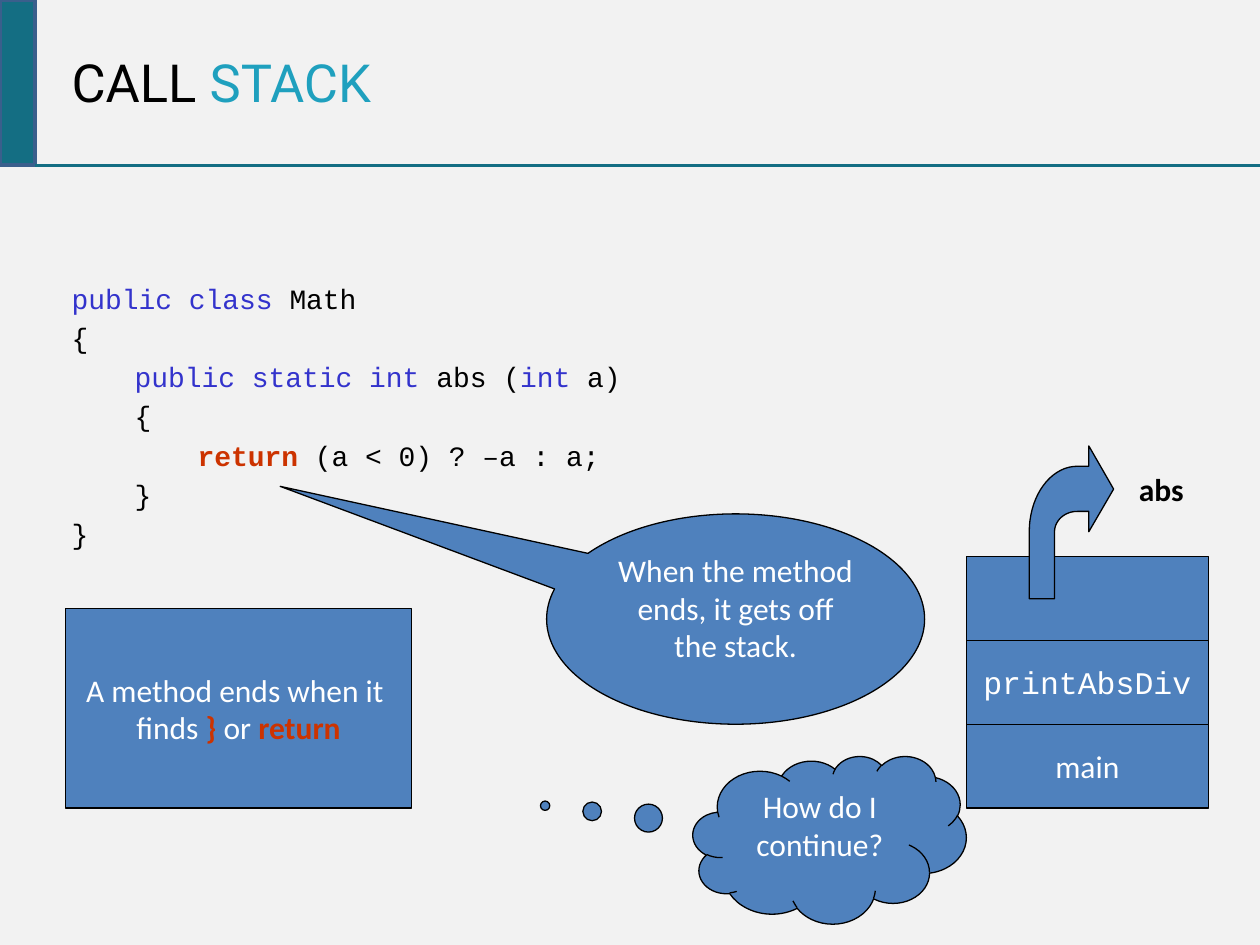
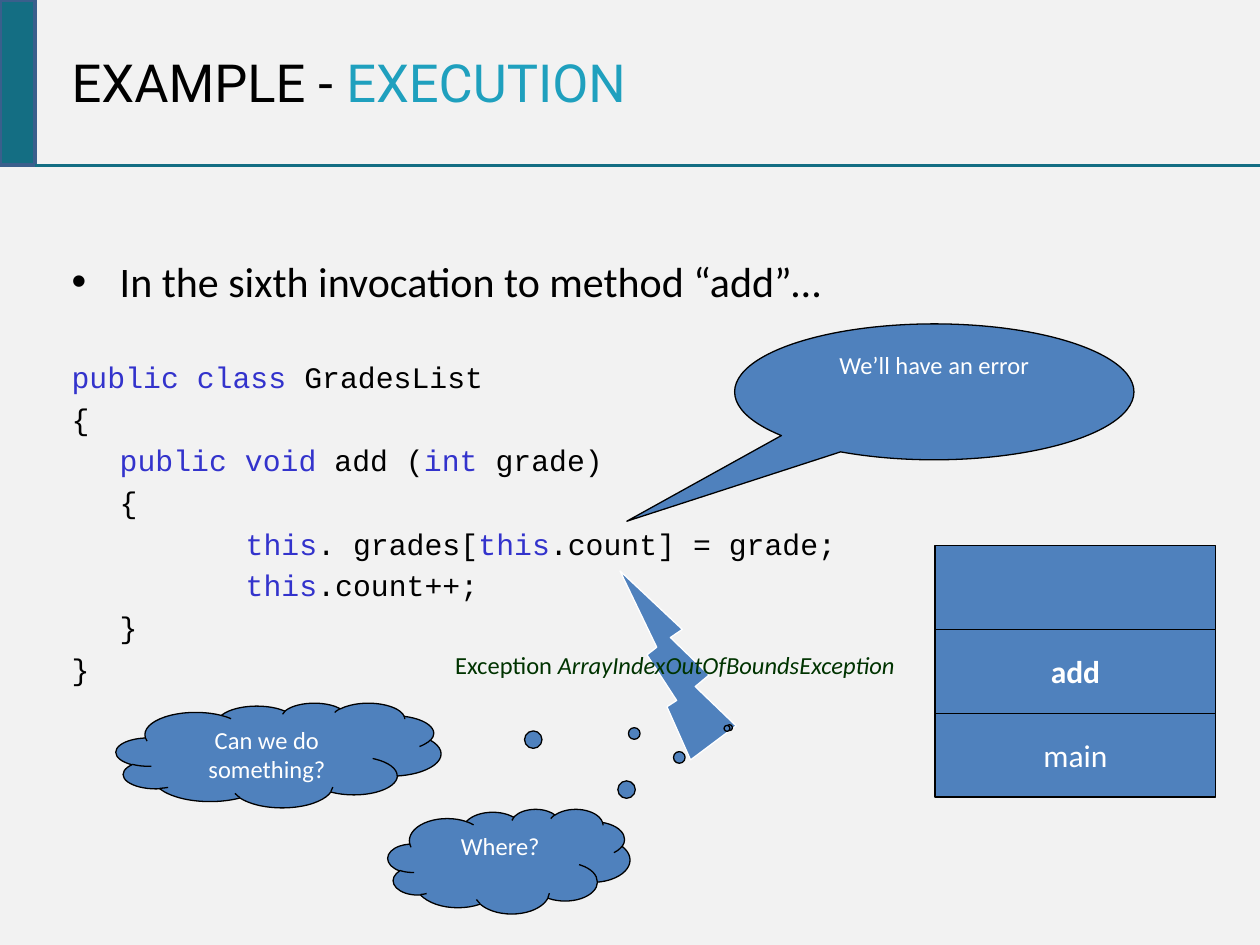
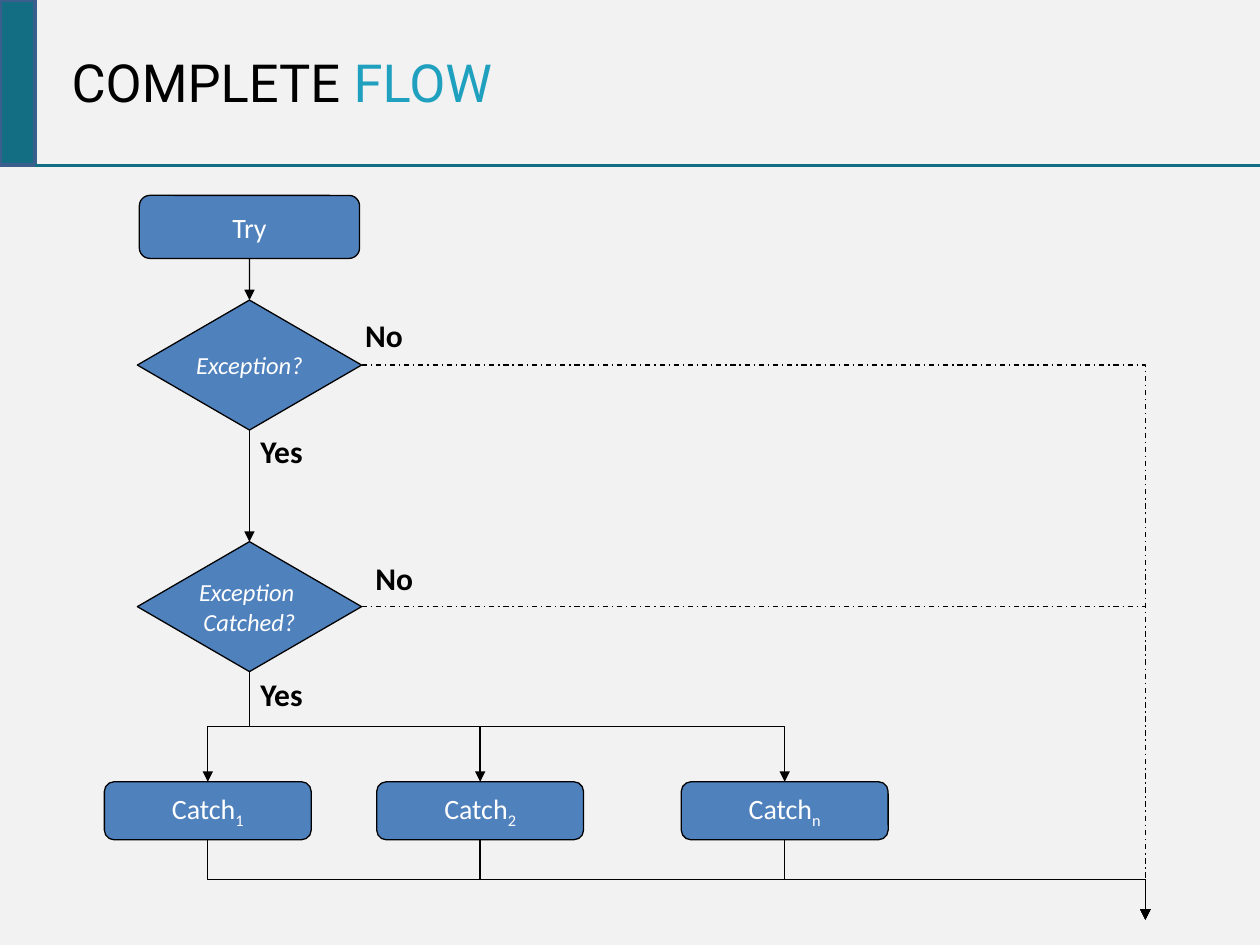
import math

import pptx
import pptx.dml.color
import pptx.enum.dml
import pptx.enum.shapes
import pptx.enum.text
import pptx.oxml
import pptx.oxml.ns
import pptx.util

Cm = pptx.util.Cm
Pt = pptx.util.Pt
RGBColor = pptx.dml.color.RGBColor
SHAPE = pptx.enum.shapes.MSO_SHAPE
CONNECTOR = pptx.enum.shapes.MSO_CONNECTOR
ALIGN = pptx.enum.text.PP_ALIGN
ANCHOR = pptx.enum.text.MSO_ANCHOR
AUTO_SIZE = pptx.enum.text.MSO_AUTO_SIZE
DASH_DOT = pptx.enum.dml.MSO_LINE.DASH_DOT
qn = pptx.oxml.ns.qn

BACKGROUND = RGBColor(0xF2, 0xF2, 0xF2)
TEAL = RGBColor(0x14, 0x6E, 0x83)
BAND_EDGE = RGBColor(0x3A, 0x5F, 0x8C)
ACCENT = RGBColor(0x1F, 0xA0, 0xBE)
BLUE = RGBColor(0x4F, 0x81, 0xBD)
BLACK = RGBColor(0x00, 0x00, 0x00)
WHITE = RGBColor(0xFF, 0xFF, 0xFF)
KEYWORD = RGBColor(0x33, 0x33, 0xCC)
RED = RGBColor(0xCC, 0x33, 0x00)
DARK_GREEN = RGBColor(0x00, 0x33, 0x00)

SANS = "Calibri"
MONO = "Courier New"
TITLE_FONT = "Roboto"

STYLES = {
    "accent": {"color": ACCENT},
    "keyword": {"color": KEYWORD},
    "strong": {"color": RED, "bold": True},
    "bold": {"bold": True},
    "italic": {"italic": True},
    "subscript": {"baseline": "-25000"},
}

MATH_CODE = [
    (0, [("public class ", "keyword"), "Math"]),
    (0, ["{"]),
    (1, [("public static int ", "keyword"), "abs (", ("int", "keyword"), " a)"]),
    (1, ["{"]),
    (2, [("return", "strong"), " (a < 0) ? –a : a;"]),
    (1, ["}"]),
    (0, ["}"]),
]
MATH_INDENTS = (0, 1.27, 2.54)
MATH_STACK = [[], [["printAbsDiv"]], [["main"]]]
METHOD_END = [
    ["A method ends when it "],
    ["finds ", ("} ", "strong"), "or ", ("return", "strong")],
]

GRADES_INTRO = "In the sixth invocation to method “add”…"
GRADES_CODE = [
    (0, [("public class ", "keyword"), "GradesList"]),
    (0, ["{"]),
    (1, [("public void ", "keyword"), "add (", ("int", "keyword"), " grade)"]),
    (1, ["{"]),
    (2, [("this", "keyword"), ". grades[", ("this", "keyword"), ".count] = grade;"]),
    (2, [("this", "keyword"), ".count++;"]),
    (1, ["}"]),
    (0, ["}"]),
]
GRADES_INDENTS = (0, 0.97, 3.51)
GRADES_STACK = [[], [[("add", "bold")]], [["main"]]]
EXCEPTION = ["Exception ", ("ArrayIndexOutOfBoundsException", "italic")]
QUESTIONS = [
    ("Can we do something?", (2.34, 14.17, 6.55, 2.11), (1.388, -0.263)),
    ("Where?", (7.82, 16.31, 4.88, 2.11), (0.901, -1.271)),
]

DECISIONS = [
    (6.05, [[("Exception?", "italic")]]),
    (10.92, [[("Exception ", "italic")], [("Catched?", "italic")]]),
]
CATCHES = [("1", 4.19), ("2", 9.68), ("n", 15.82)]
ANSWERS = [
    ("No", 7.11, 6.25),
    ("Yes", 5.0, 8.59),
    ("No", 7.32, 11.15),
    ("Yes", 5.0, 13.49),
]


def lengths(values):
    return [Cm(value) for value in values]


def write(paragraph, pieces, size, font=SANS, color=BLACK):
    for piece in pieces:
        text, style = (piece, None) if isinstance(piece, str) else piece
        options = STYLES.get(style, {})
        run = paragraph.add_run()
        run.text = text
        run.font.name = font
        run.font.size = Pt(size)
        run.font.bold = options.get("bold", False)
        run.font.italic = options.get("italic", False)
        run.font.color.rgb = options.get("color", color)
        if "baseline" in options:
            run.font._element.set("baseline", options["baseline"])


def next_paragraph(text_frame):
    first = text_frame.paragraphs[0]
    return text_frame.add_paragraph() if first.runs else first


def place(shape, box):
    shape.left, shape.top, shape.width, shape.height = lengths(box)


def add_box(slide, kind, box, lines=(), size=18, font=SANS, color=WHITE,
            fill=BLUE, edge=BLACK, edge_width=0.75, adjustments=(), wrap=False):
    shape = slide.shapes.add_shape(kind, *lengths(box))
    shape.shadow.inherit = False
    shape.fill.solid()
    shape.fill.fore_color.rgb = fill
    shape.line.color.rgb = edge
    shape.line.width = Pt(edge_width)
    for index, value in enumerate(adjustments):
        shape.adjustments[index] = value
    text_frame = shape.text_frame
    text_frame.word_wrap = wrap
    text_frame.vertical_anchor = ANCHOR.TOP if wrap else ANCHOR.MIDDLE
    for pieces in lines:
        paragraph = next_paragraph(text_frame)
        paragraph.alignment = ALIGN.CENTER
        write(paragraph, pieces, size, font, color)
    return shape


def add_callout(slide, kind, text, box, pointer, size):
    return add_box(slide, kind, box, [[text]], size, adjustments=pointer, wrap=True)


def add_label(slide, text, box):
    label = slide.shapes.add_textbox(*lengths(box))
    label.text_frame.word_wrap = False
    label.text_frame.auto_size = AUTO_SIZE.SHAPE_TO_FIT_TEXT
    write(label.text_frame.paragraphs[0], [(text, "bold")], 18)


def add_stack(slide, left, top, width, frames, fonts):
    height = 1.69
    for row, (lines, font) in enumerate(zip(frames, fonts)):
        add_box(slide, SHAPE.RECTANGLE, (left, top + row * height, width, height),
                lines, font=font)


def add_line(slide, kind, start, end, color=BLACK, width=0.75, dash=None, arrow=True):
    connector = slide.shapes.add_connector(kind, *lengths(start + end))
    connector.line.color.rgb = color
    connector.line.width = Pt(width)
    if dash:
        connector.line.dash_style = dash
    properties = connector.element.spPr
    if arrow:
        tail = properties.find(qn("a:ln")).makeelement(qn("a:tailEnd"), {"type": "triangle"})
        properties.find(qn("a:ln")).append(tail)
    properties.append(properties.makeelement(qn("a:effectLst"), {}))
    return connector


def add_down_elbow(slide, start, end):
    across, down = end[0] - start[0], end[1] - start[1]
    center_x, center_y = (start[0] + end[0]) / 2, (start[1] + end[1]) / 2
    half_x = math.copysign(down / 2, -across)
    half_y = abs(across) / 2
    connector = add_line(slide, CONNECTOR.ELBOW, (center_x - half_x, center_y - half_y),
                         (center_x + half_x, center_y + half_y))
    degrees = 90 if across < 0 else 270
    connector.element.spPr.find(qn("a:xfrm")).set("rot", str(degrees * 60000))


def add_corner(slide, start, end):
    connector = add_line(slide, CONNECTOR.ELBOW, start, end, dash=DASH_DOT)
    connector.element.spPr.find(qn("a:prstGeom")).set("prst", "bentConnector2")


def add_slide(presentation, layout_index, plain, accented):
    slide = presentation.slides.add_slide(presentation.slide_layouts[layout_index])
    title = slide.shapes.title
    place(title, (1.19, 0, 20.7, 3.3))
    title.text_frame.vertical_anchor = ANCHOR.MIDDLE
    title.text_frame.auto_size = AUTO_SIZE.NONE
    paragraph = title.text_frame.paragraphs[0]
    paragraph.alignment = ALIGN.LEFT
    write(paragraph, [plain, (accented, "accent")], 30, TITLE_FONT)
    add_box(slide, SHAPE.RECTANGLE, (0, 0, 0.71, 3.33), fill=TEAL, edge=BAND_EDGE, edge_width=2)
    add_line(slide, CONNECTOR.STRAIGHT, (0.71, 3.33), (25.4, 3.33), TEAL, 1.75, arrow=False)
    return slide


def prepare_body(slide, margin_top):
    body = slide.placeholders[1]
    place(body, (1.19, 3.94, 23.01, 14.5))
    body.text_frame.auto_size = AUTO_SIZE.NONE
    body.text_frame.margin_top = Cm(margin_top)
    return body.text_frame


def set_indent(paragraph, margin, first_line=0):
    properties = paragraph._p.get_or_add_pPr()
    properties.set("marL", str(Cm(margin)))
    properties.set("indent", str(Cm(first_line)))
    return properties


def add_code(text_frame, lines, indents, size):
    for depth, pieces in lines:
        paragraph = next_paragraph(text_frame)
        properties = set_indent(paragraph, indents[depth])
        properties.append(properties.makeelement(qn("a:buNone"), {}))
        write(paragraph, pieces, size, MONO)


def add_pop_arrow(slide):
    left, bottom, stem = 20.75, 12.07, 0.51
    bend_x, bend_y = 21.72, 10.72
    head_x, head_top, tip_x, tip_y = 21.95, 8.99, 22.45, 9.86
    outer, inner = (0.97, 1.32), (0.46, 0.41)

    def arc(radii, angles):
        return [(bend_x - radii[0] * math.cos(math.radians(angle)),
                 bend_y - radii[1] * math.sin(math.radians(angle))) for angle in angles]

    points = [(left, bottom)]
    points += arc(outer, range(0, 91, 5))
    points += [(head_x, bend_y - outer[1]), (head_x, head_top), (tip_x, tip_y),
               (head_x, bend_y), (head_x, bend_y - inner[1])]
    points += arc(inner, range(90, -1, -5))
    points.append((left + stem, bottom))
    points = [lengths(point) for point in points]
    builder = slide.shapes.build_freeform(*points[0])
    builder.add_line_segments(points[1:], close=True)
    arrow = builder.convert_to_shape()
    arrow.shadow.inherit = False
    arrow.fill.solid()
    arrow.fill.fore_color.rgb = BLUE
    arrow.line.color.rgb = BLACK
    arrow.line.width = Pt(0.75)


def build_call_stack(presentation):
    slide = add_slide(presentation, 1, "CALL ", "STACK")
    add_code(prepare_body(slide, 1.73), MATH_CODE, MATH_INDENTS, 16)
    add_stack(slide, 19.48, 11.22, 4.88, MATH_STACK, (SANS, MONO, SANS))
    add_label(slide, "abs", (22.71, 9.35, 1.42, 1.02))
    add_pop_arrow(slide)
    add_callout(slide, SHAPE.OVAL_CALLOUT, "When the method ends, it gets off the stack.",
                (11.02, 10.36, 7.62, 4.24), (-1.205, -0.631), 18)
    add_box(slide, SHAPE.FLOWCHART_PROCESS, (1.32, 12.27, 6.98, 4.02), METHOD_END)
    add_callout(slide, SHAPE.CLOUD_CALLOUT, "How do I continue?",
                (13.97, 15.24, 5.51, 3.38), (-1.041, -0.203), 18)


def build_execution(presentation):
    slide = add_slide(presentation, 1, "EXAMPLE - ", "EXECUTION")
    text_frame = prepare_body(slide, 1.22)
    intro = text_frame.paragraphs[0]
    set_indent(intro, 0.97, -0.97)
    write(intro, [GRADES_INTRO], 24)
    add_code(text_frame, GRADES_CODE, GRADES_INDENTS, 17)
    text_frame.paragraphs[1].space_before = Pt(30)
    add_stack(slide, 18.85, 11, 5.66, GRADES_STACK, (SANS, SANS, SANS))
    add_callout(slide, SHAPE.OVAL_CALLOUT, "We’ll have an error",
                (14.81, 6.53, 8.05, 2.74), (-0.77, 0.952), 14)
    bolt = add_box(slide, SHAPE.LIGHTNING_BOLT, (12.5, 11.51, 2.34, 3.81), [EXCEPTION],
                   14, color=DARK_GREEN, edge=WHITE)
    transform = bolt.element.spPr.find(qn("a:xfrm"))
    transform.set("flipH", "1")
    transform.set("flipV", "1")
    bolt.text_frame._txBody.find(qn("a:bodyPr")).set("rot", str(180 * 60000))
    for text, box, pointer in QUESTIONS:
        add_callout(slide, SHAPE.CLOUD_CALLOUT, text, box, pointer, 14)


def build_flow(presentation):
    slide = add_slide(presentation, 5, "COMPLETE ", "FLOW")
    axis = 5.03
    diamond_width, diamond_height = 4.52, 2.62
    catch_top, catch_width, catch_height = 15.76, 4.17, 1.17
    finish = (23.09, 18.54)

    steps = [add_box(slide, SHAPE.ROUNDED_RECTANGLE, (axis - 2.22, 3.94, 4.44, 1.27),
                     [["Try"]], 16)]
    for top, lines in DECISIONS:
        box = (axis - diamond_width / 2, top, diamond_width, diamond_height)
        steps.append(add_box(slide, SHAPE.DIAMOND, box, lines, 14))
        add_corner(slide, (axis + diamond_width / 2, top + diamond_height / 2), finish)
    for upper, lower in zip(steps, steps[1:]):
        connector = add_line(slide, CONNECTOR.STRAIGHT, (axis, 0), (axis, 1))
        connector.begin_connect(upper, 2)
        connector.end_connect(lower, 0)

    branch = (axis, DECISIONS[-1][0] + diamond_height)
    for number, center in CATCHES:
        add_box(slide, SHAPE.ROUNDED_RECTANGLE,
                (center - catch_width / 2, catch_top, catch_width, catch_height),
                [["Catch", (number, "subscript")]], 16)
        add_down_elbow(slide, branch, (center, catch_top))
        add_down_elbow(slide, (center, catch_top + catch_height), finish)
    for text, left, top in ANSWERS:
        add_label(slide, text, (left, top, 1.37 if text == "Yes" else 1.27, 1.02))


def main():
    presentation = pptx.Presentation()
    presentation.slide_width = Cm(25.4)
    presentation.slide_height = Cm(19.05)
    background = presentation.slide_master.background.fill
    background.solid()
    background.fore_color.rgb = BACKGROUND
    build_call_stack(presentation)
    build_execution(presentation)
    build_flow(presentation)
    presentation.save("out.pptx")


if __name__ == "__main__":
    main()
